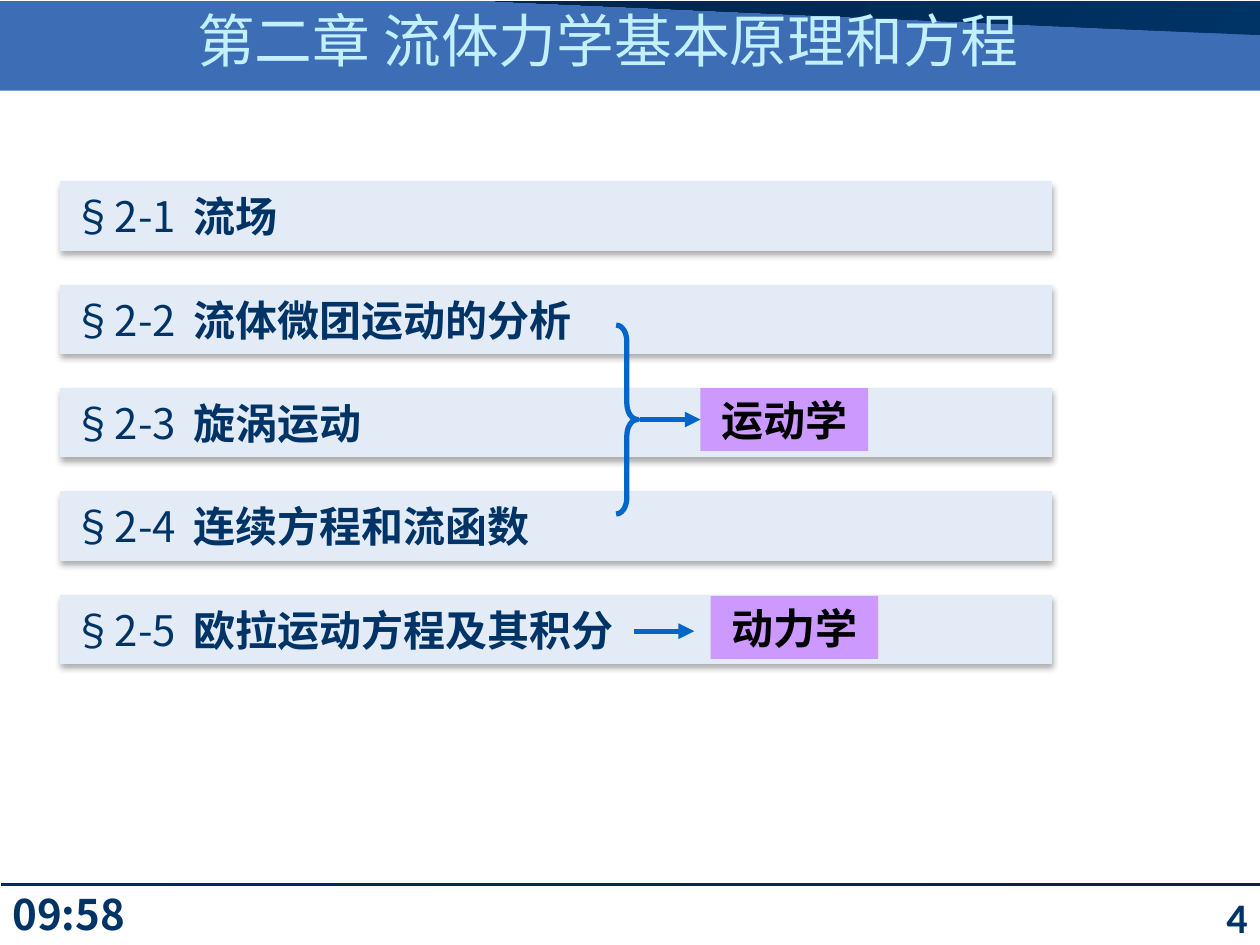
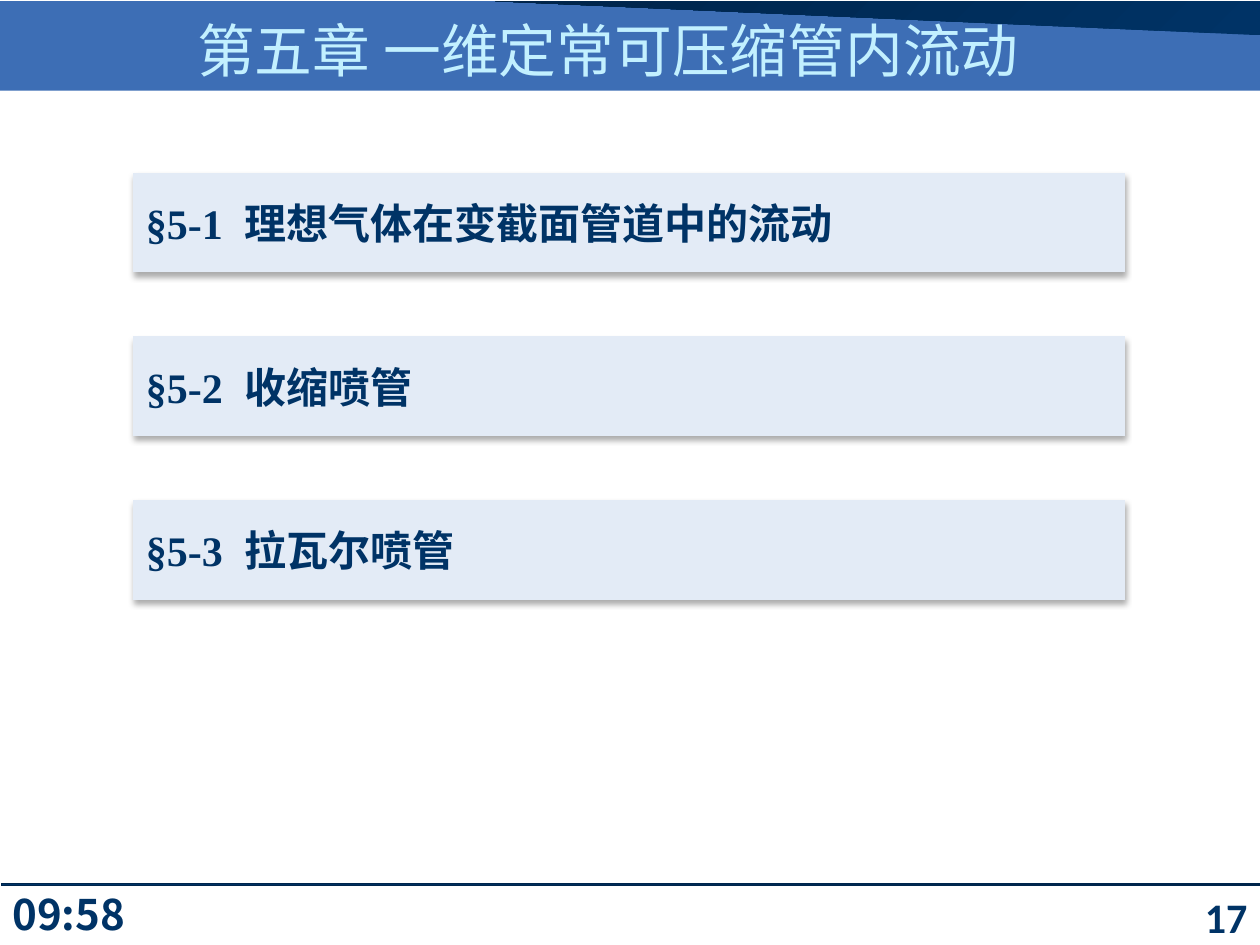
from lxml import etree
from pptx import Presentation
from pptx.dml.color import RGBColor
from pptx.enum.shapes import MSO_CONNECTOR, MSO_SHAPE
from pptx.enum.text import MSO_ANCHOR, MSO_AUTO_SIZE, PP_ALIGN
from pptx.oxml.ns import qn
from pptx.util import Inches, Pt

COLS, ROWS = 100, 75
UNIT = Inches(0.1)
NAVY, DEEP, BLUE, PALE = "003366", "002449", "0066CC", "E3EBF6"
CJK = "Noto Sans CJK SC"
LABEL = dict(size=Pt(24), name=CJK, bold=True)


def grid(*cells):
    return [round(c * UNIT) for c in cells]


def rgb(value):
    return RGBColor.from_string(value)


def sub(parent, tag, **attrs):
    return etree.SubElement(parent, qn(tag), {k: str(v) for k, v in attrs.items()})


def add_run(p, text, color, east=CJK, **fmt):
    r = p.add_run()
    r.text = text
    for key, value in fmt.items():
        setattr(r.font, key, value)
    r.font.color.rgb = rgb(color)
    sub(r.font._element, "a:ea", typeface=east)


def frame(sp, align=PP_ALIGN.LEFT, anchor=MSO_ANCHOR.MIDDLE):
    tf = sp.text_frame
    fmt = dict(word_wrap=True, auto_size=MSO_AUTO_SIZE.NONE, vertical_anchor=anchor)
    for key, value in fmt.items():
        setattr(tf, key, value)
    p = tf.paragraphs[0]
    p.alignment = align
    return p


def add_box(s, kind, box, fill):
    sp = s.shapes.add_shape(kind, *grid(*box))
    sp.shadow.inherit = False
    sp.fill.solid()
    sp.fill.fore_color.rgb = rgb(fill)
    sp.line.fill.background()
    return sp


def add_text(s, box, text, align=PP_ALIGN.LEFT, anchor=MSO_ANCHOR.MIDDLE, **fmt):
    p = frame(s.shapes.add_textbox(*grid(*box)), align, anchor)
    add_run(p, text, NAVY, **fmt)


def shade(sp, angle):
    sp.fill.gradient()
    sp.fill.gradient_angle = angle
    for stop, color in zip(sp.fill.gradient_stops, (NAVY, DEEP)):
        stop.color.rgb = rgb(color)


def dress_layout(layout, s):
    add_box(s, MSO_SHAPE.RECTANGLE, (0, 0.1, COLS, 7.1), "3D6EB5")

    corner = [grid(*pt) for pt in ((39.3, 0.1), (COLS, 2.8), (COLS, 0.1))]
    builder = s.shapes.build_freeform(*corner[0])
    builder.add_line_segments(corner[1:], close=True)
    wedge = builder.convert_to_shape()
    wedge.shadow.inherit = False
    wedge.line.fill.background()
    shade(wedge, 135)

    rule = add_box(s, MSO_SHAPE.RECTANGLE, (0.1, 70.1, COLS, 0.2), NAVY)
    shade(rule, 0)
    rule.line.color.rgb = rgb("00264D")
    rule.line.width = Pt(0.75)

    add_text(s, (0, 70, 13.4, 5), "09:58", anchor=MSO_ANCHOR.TOP, **LABEL)

    parts = [sp for sp in s.shapes if not sp.is_placeholder]
    for i, sp in enumerate(parts):
        sp.element.nvSpPr.cNvPr.set("id", str(101 + i))
        layout.shapes.element.insert(2 + i, sp.element)


def head_and_page(s, title, top, page):
    sp = s.shapes.title
    sp.left, sp.top, sp.width, sp.height = grid(9.4, top, 77.7, 7.8)
    add_run(frame(sp, PP_ALIGN.CENTER), title, "C2F0FF", east="Noto Sans CJK JP",
            size=Pt(33), name="Noto Sans CJK JP", bold=False)
    add_text(s, (90.6, 70, 9.4, 5.5), page, PP_ALIGN.RIGHT,
             **{**LABEL, "name": "Calibri"})


def section_list(s, box, step, chapter, sections, tab, number_fmt):
    x, y, w, h = box
    for i, section in enumerate(sections):
        bar = add_box(s, MSO_SHAPE.ACTION_BUTTON_CUSTOM, (x, y + i * step, w, h), PALE)
        effects = bar.element.spPr.find(qn("a:effectLst"))
        shadow = sub(effects, "a:outerShdw", blurRad=Pt(3.5), dist=Pt(2.2),
                     dir=5400000, algn="t", rotWithShape=0)
        sub(sub(shadow, "a:srgbClr", val="000000"), "a:alpha", val=32000)
        p = frame(bar)
        tabs = sub(p._p.get_or_add_pPr(), "a:tabLst")
        sub(tabs, "a:tab", pos=grid(tab)[0], algn="l")
        add_run(p, f"§{chapter}-{i + 1}\t", NAVY, **number_fmt)
        add_run(p, section, NAVY, **{**LABEL, "name": number_fmt["name"]})


def add_tag(s, x, y, text):
    sp = add_box(s, MSO_SHAPE.RECTANGLE, (x, y, 13.3, 5), "CC99FF")
    add_run(frame(sp, PP_ALIGN.CENTER), text, "000000", **{**LABEL, "name": "Arial"})
    return sp


def add_arrow(s, x, y, length):
    arrow = s.shapes.add_connector(MSO_CONNECTOR.STRAIGHT, *grid(x, y, x + length, y))
    arrow.line.color.rgb = rgb(BLUE)
    arrow.line.width = Pt(3)
    sub(arrow.line._get_or_add_ln(), "a:tailEnd", type="triangle")
    sub(arrow.element.spPr, "a:effectLst")
    return arrow


def branches(s, box):
    x, y, _, _ = box
    brace = s.shapes.add_shape(MSO_SHAPE.RIGHT_BRACE, *grid(x + 44.1, y + 11.4, 1.7, 15))
    brace.shadow.inherit = False
    brace.fill.background()
    brace.line.color.rgb = rgb(BLUE)
    brace.line.width = Pt(3)
    brace.adjustments[0] = 0.75

    kinematics = add_tag(s, x + 50.8, y + 16.4, "运动学")
    add_arrow(s, x + 46, y + 18.9, 4.8).end_connect(kinematics, 1)
    add_tag(s, x + 51.6, y + 32.9, "动力学")
    add_arrow(s, x + 45.5, y + 35.7, 4.8)


def main():
    prs = Presentation()
    prs.slide_width, prs.slide_height = grid(COLS, ROWS)
    layout = prs.slide_layouts[5]

    s = prs.slides.add_slide(layout)
    dress_layout(layout, s)
    head_and_page(s, "第二章 流体力学基本原理和方程", -0.8, "4")
    box = (4.8, 14.4, 78.7, 5.5)
    section_list(s, box, 8.2, 2,
                 ("流场", "流体微团运动的分析", "旋涡运动", "连续方程和流函数",
                  "欧拉运动方程及其积分"),
                 9.6, {**LABEL, "bold": False})
    branches(s, box)

    s = prs.slides.add_slide(layout)
    head_and_page(s, "第五章 一维定常可压缩管内流动", 0, "17")
    section_list(s, (10.6, 13.7, 78.7, 7.9), 13, 5,
                 ("理想气体在变截面管道中的流动", "收缩喷管", "拉瓦尔喷管"),
                 7.8, {**LABEL, "name": "Times New Roman"})

    prs.save("out.pptx")


if __name__ == "__main__":
    main()
